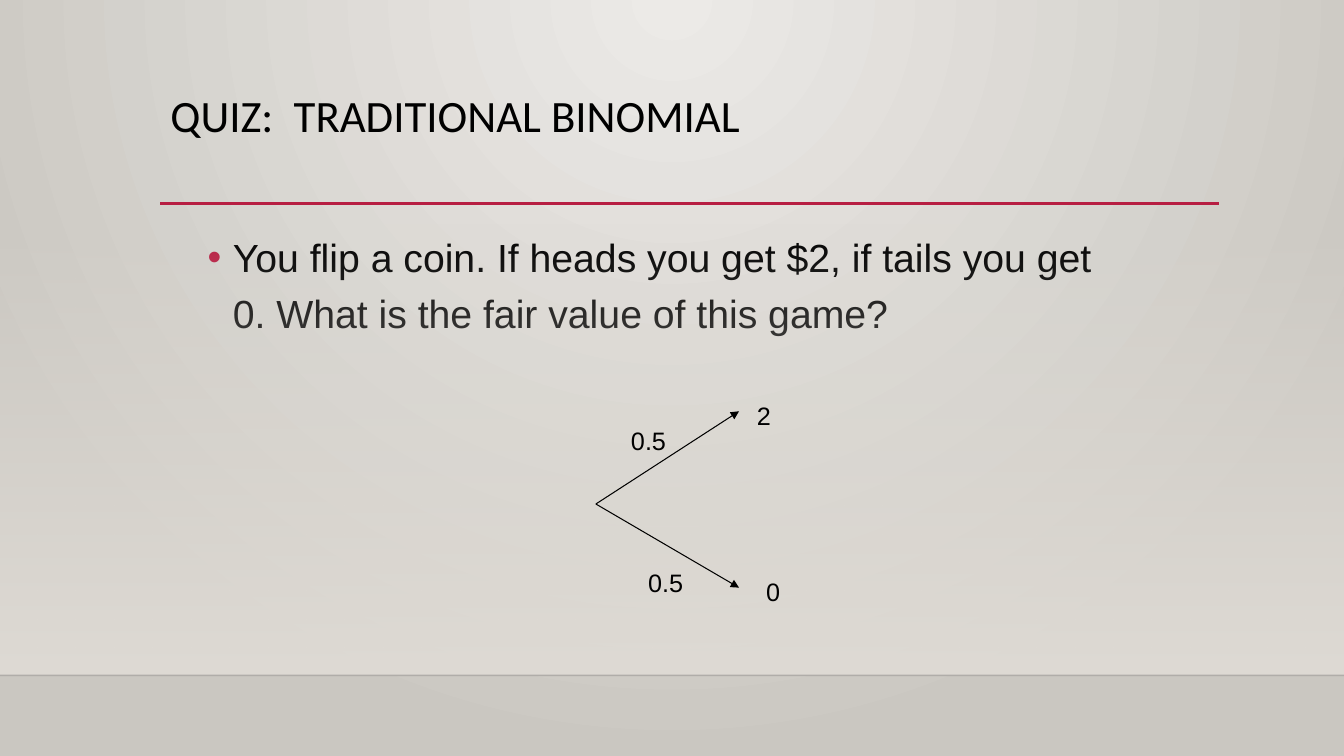
from lxml.etree import SubElement
from pptx import Presentation
from pptx.dml.color import RGBColor
from pptx.enum.shapes import MSO_CONNECTOR, MSO_SHAPE
from pptx.enum.text import MSO_ANCHOR, MSO_AUTO_SIZE, PP_ALIGN
from pptx.oxml.ns import qn
from pptx.util import Inches, Pt

BLACK = RGBColor(0x00, 0x00, 0x00)
RULE_BLACK = RGBColor(0x00, 0x00, 0x01)
CRIMSON = RGBColor(0xB7, 0x1E, 0x42)
PALE = RGBColor(0xEC, 0xEA, 0xE7)
STONE = RGBColor(0xCA, 0xC7, 0xC1)
SAND = RGBColor(0xDF, 0xDB, 0xD5)


class QuizSlide:
    title_font = "Calibri"
    body_font = "Arial"

    def __init__(self, prs):
        self.s = prs.slides.add_slide(prs.slide_layouts[1])

    def gradient(self, fill, colors):
        fill.gradient()
        for stop, color in zip(fill.gradient_stops, colors):
            stop.color.rgb = color

    def background(self):
        self.gradient(self.s.background.fill, (PALE, STONE))
        grad = self.s.element.find(".//" + qn("a:gradFill"))
        grad.remove(grad.find(qn("a:lin")))
        circle = SubElement(grad, qn("a:path"), {"path": "circle"})
        SubElement(circle, qn("a:fillToRect"), l="43000", t="0", r="43000", b="100000")

    def fade(self, left, top, width, height):
        sp = self.s.shapes.add_shape(
            MSO_SHAPE.RECTANGLE, Inches(left), Inches(top), Inches(width), Inches(height))
        sp.shadow.inherit = False
        sp.line.fill.background()
        self.gradient(sp.fill, (SAND, SAND))
        sp.fill.gradient_angle = 270
        first = sp.element.find(".//" + qn("a:srgbClr"))
        SubElement(first, qn("a:alpha"), val="0")

    def line(self, start, end, color, width, alpha=None, arrow=False):
        x1, y1, x2, y2 = map(Inches, (*start, *end))
        sp = self.s.shapes.add_connector(MSO_CONNECTOR.STRAIGHT, x1, y1, x2, y2)
        sp.line.color.rgb = color
        sp.line.width = Pt(width)
        ln = sp.element.find(".//" + qn("a:ln"))
        if alpha is not None:
            SubElement(ln.find(".//" + qn("a:srgbClr")), qn("a:alpha"), val=str(alpha * 1000))
        if arrow:
            SubElement(ln, qn("a:tailEnd"), type="triangle")
        SubElement(sp.element.spPr, qn("a:effectLst"))

    def add_text(self, tf, text, size, font):
        p = tf.paragraphs[0]
        p.alignment = PP_ALIGN.LEFT
        r = p.add_run()
        r.text = text
        r.font.size = Pt(size)
        r.font.name = font
        r.font.color.rgb = BLACK
        return p

    def fill_placeholder(self, sp, box, text, size, font, spacing):
        sp.left, sp.top, sp.width, sp.height = map(Inches, box)
        tf = sp.text_frame
        tf.word_wrap = True
        tf.auto_size = MSO_AUTO_SIZE.NONE
        tf.vertical_anchor = MSO_ANCHOR.TOP
        p = self.add_text(tf, text, size, font)
        p.line_spacing = spacing
        return p

    def title(self, box, text):
        p = self.fill_placeholder(self.s.shapes.title, box, text, 32, self.title_font, 0.9)
        p.space_before = Pt(0)

    def body(self, box, text):
        sp = self.s.placeholders[1]
        p = self.fill_placeholder(sp, box, text, 28, self.body_font, 1.2)
        p.space_before = Pt(10)
        pPr = sp.element.find(".//" + qn("a:pPr"))
        pPr.set("marL", str(Inches(0.25)))
        pPr.set("indent", str(Inches(-0.25)))
        SubElement(SubElement(pPr, qn("a:buClr")), qn("a:srgbClr"), val=str(CRIMSON))
        SubElement(pPr, qn("a:buFont"), typeface=self.body_font)
        SubElement(pPr, qn("a:buChar"), char="•")

    def label(self, left, top, width, text):
        sp = self.s.shapes.add_textbox(Inches(left), Inches(top), Inches(width), Inches(0.4))
        tf = sp.text_frame
        tf.word_wrap = False
        tf.auto_size = MSO_AUTO_SIZE.SHAPE_TO_FIT_TEXT
        self.add_text(tf, text, 18, self.body_font)


def main():
    prs = Presentation()
    prs.slide_width, prs.slide_height = Inches(13.33), Inches(7.5)
    quiz = QuizSlide(prs)
    quiz.background()
    quiz.fade(0, 2.21, 13.33, 4.49)
    quiz.line((0, 6.7), (13.33, 6.7), RULE_BLACK, 1, alpha=20)
    quiz.line((1.59, 2.02), (12.09, 2.02), CRIMSON, 2.5)
    quiz.title((1.59, 0.88, 10.5, 1.15), "QUIZ:  TRADITIONAL BINOMIAL")
    quiz.body((1.96, 2.17, 9.3, 5),
              "You flip a coin. If heads you get $2, if tails you get 0. "
              "What is the fair value of this game?")
    for end_y in (4.08, 5.83):
        quiz.line((5.91, 5), (7.33, end_y), BLACK, 0.75, arrow=True)
    for left, top, width, text in (
        (7.41, 3.92, 0.34, "2"),
        (7.5, 5.67, 0.34, "0"),
        (6.16, 4.17, 0.55, "0.5"),
        (6.33, 5.58, 0.55, "0.5"),
    ):
        quiz.label(left, top, width, text)
    prs.save("out.pptx")


if __name__ == "__main__":
    main()
